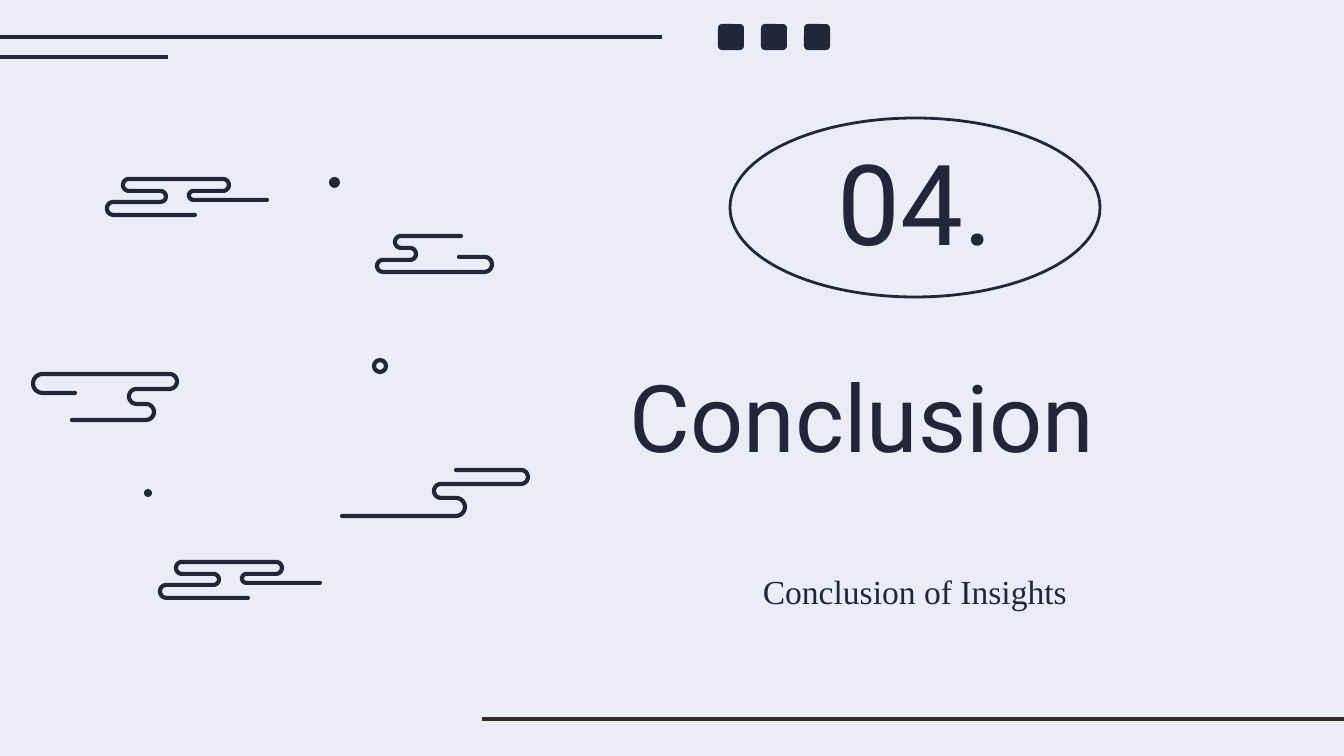
from math import cos, pi, sin

from pptx import Presentation
from pptx.dml.color import RGBColor
from pptx.enum.shapes import MSO_CONNECTOR, MSO_SHAPE
from pptx.enum.text import MSO_ANCHOR, PP_ALIGN
from pptx.oxml.ns import qn
from pptx.oxml.xmlchemy import OxmlElement
from pptx.util import Pt

WIDE, HIGH = 1344, 756
UNIT = 9144000 / WIDE
HUES = {"back": "ECEBF8", "ink": "212739", "foot": "302926"}
PUFF = ((90, 38), [(2, 25), (61, 14), (18, 2), (124, 14), (84, 23)], 162)
HOOK = ((86, 2), [(20, 14), (41, 26), (2, 38), (117, 23)], 84)
WAVE = ((44, 21), [(2, 2), (146, 17), (98, 32), (123, 48)], 41)
TAIL = ((116, 2), [(188, 16), (94, 30), (125, 48)], 2)


def px(num):
    return round(num * UNIT)


def hue(name):
    return RGBColor.from_string(HUES[name])


def style(shape, fill=None, width=None):
    shape.shadow.inherit = False
    if fill:
        shape.fill.solid()
        shape.fill.fore_color.rgb = hue(fill)
    else:
        shape.fill.background()
    if width:
        shape.line.color.rgb = hue("ink")
        shape.line.width = Pt(width)
    else:
        shape.line.fill.background()


def mark(slide, kind, box, fill=None, width=None):
    shape = slide.shapes.add_shape(kind, *map(px, box))
    style(shape, fill, width)
    return shape


def rule(slide, left, right, y, name="ink"):
    line = slide.shapes.add_connector(
        MSO_CONNECTOR.STRAIGHT, px(left), px(y), px(right), px(y))
    line.line.color.rgb = hue(name)
    line.line.width = Pt(2.25)
    line._element.spPr.append(OxmlElement("a:effectLst"))


def label(slide, box, text, font, size, align, anchor, top=13):
    frame = slide.shapes.add_textbox(*map(px, box)).text_frame
    frame.word_wrap = True
    frame.vertical_anchor = anchor
    frame.margin_left = frame.margin_right = frame.margin_bottom = px(13)
    frame.margin_top = px(top)
    para = frame.paragraphs[0]
    para.text = text
    para.alignment = align
    para.font.name = font
    para.font.size = Pt(size)
    para.font.color.rgb = hue("ink")


def trace(start, turns, end):
    x, y = start
    points = [start]
    for edge, row in turns:
        side = 1 if edge > x else -1
        mid, half = (y + row) / 2, (row - y) / 2
        core = edge - side * abs(half)
        for step in range(13):
            turn = pi * step / 12
            points.append((core + side * abs(half) * sin(turn),
                           mid - half * cos(turn)))
        x, y = core, row
    return points + [(end, y)]


def cloud(slide, left, top, form):
    points = [(px(left + x), px(top + y)) for x, y in trace(*form)]
    pen = slide.shapes.build_freeform(*points[0])
    pen.add_line_segments(points[1:], close=False)
    shape = pen.convert_to_shape()
    style(shape, width=2.25)
    line = shape._element.spPr.find(qn("a:ln"))
    line.set("cap", "rnd")
    line.append(OxmlElement("a:round"))


def sky(slide, left, top):
    for x, y, form in ((74, 0, PUFF), (344, 57, HOOK), (0, 195, WAVE),
                       (309, 291, TAIL), (127, 383, PUFF)):
        cloud(slide, left + x, top + y, form)
    for x, y, size in ((298, 0, 11), (113, 312, 8)):
        mark(slide, MSO_SHAPE.OVAL, (left + x, top + y, size, size), "ink")
    mark(slide, MSO_SHAPE.OVAL, (left + 343, top + 183, 12, 12), width=2.25)


def icons(slide, left, top):
    for spot in range(3):
        shape = mark(slide, MSO_SHAPE.ROUNDED_RECTANGLE,
                     (left + 43 * spot, top, 26, 26), "ink")
        shape.adjustments[0] = 0.15


def frame(slide):
    rule(slide, 662, -13, 37)
    rule(slide, 168, -13, 57)
    rule(slide, 482, 1457, 719, "foot")


def title(slide, left, top):
    mark(slide, MSO_SHAPE.OVAL, (left + 139, top, 370, 179), width=1.5)
    label(slide, (left + 26, top + 206, 648, 183), "Conclusion",
          "Roboto", 50, PP_ALIGN.LEFT, MSO_ANCHOR.MIDDLE)
    label(slide, (left + 139, top + 27, 370, 124), "04.",
          "Roboto", 60, PP_ALIGN.CENTER, MSO_ANCHOR.MIDDLE, 0)
    label(slide, (left, top + 440, 648, 105), "Conclusion of Insights",
          "Times New Roman", 18, PP_ALIGN.CENTER, MSO_ANCHOR.TOP)


def main():
    deck = Presentation()
    deck.slide_width, deck.slide_height = px(WIDE), px(HIGH)
    slide = deck.slides.add_slide(deck.slide_layouts[6])
    slide.background.fill.solid()
    slide.background.fill.fore_color.rgb = hue("back")
    frame(slide)
    title(slide, 591, 118)
    sky(slide, 31, 177)
    icons(slide, 718, 24)
    deck.save("out.pptx")


if __name__ == "__main__":
    main()
